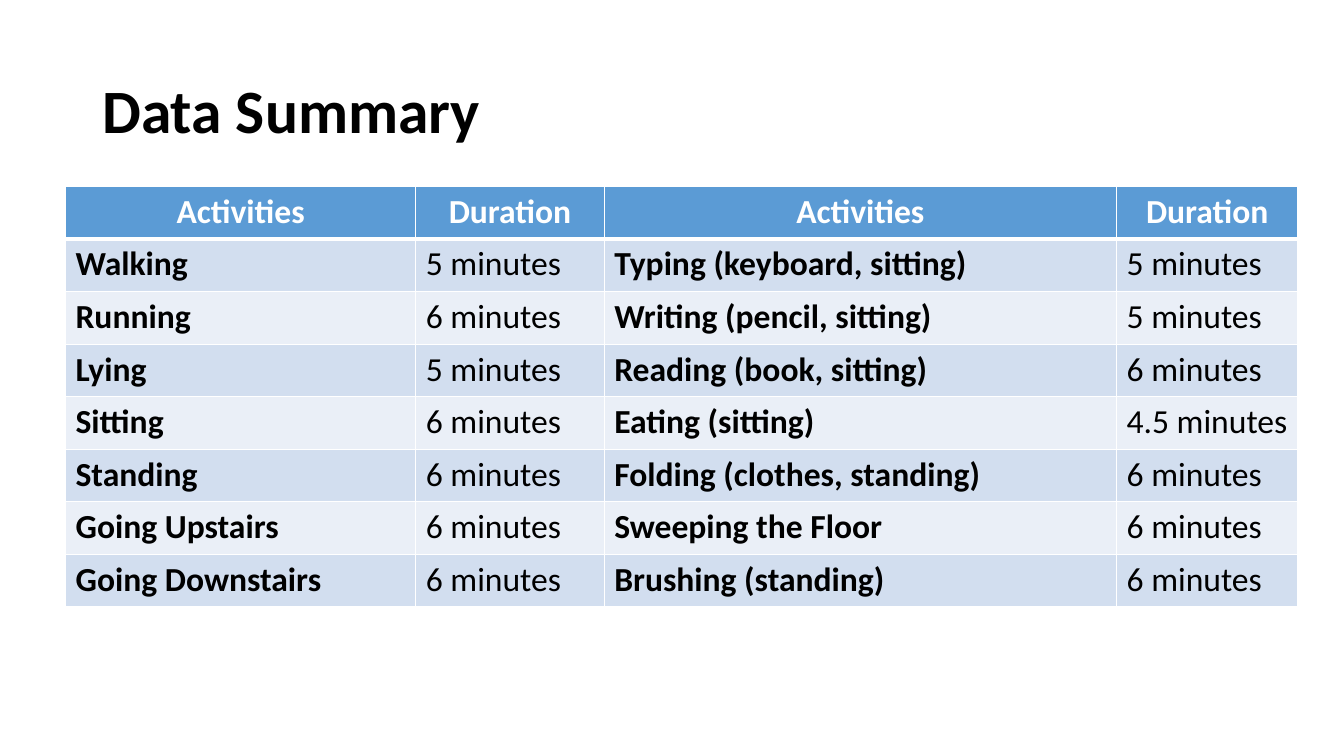
from dataclasses import dataclass

from lxml.etree import SubElement
from pptx import Presentation
from pptx.dml.color import RGBColor
from pptx.enum.text import MSO_ANCHOR, PP_ALIGN
from pptx.oxml.ns import qn
from pptx.util import Pt


@dataclass(frozen=True)
class Theme:
    font: str = "Calibri"
    title_size: int = 44
    table_size: int = 24
    ink: str = "000000"
    white: str = "FFFFFF"
    header: str = "5B9BD5"
    bands: tuple = ("D2DEEF", "EAEFF7")
    border: int = 1
    header_border: int = 3


class SlideBuilder:
    def __init__(self, slide, theme):
        self.slide = slide
        self.theme = theme

    def style(self, para, size, color, bold):
        font = para.font
        font.name, font.size, font.bold = self.theme.font, Pt(size), bold
        font.color.rgb = RGBColor.from_string(color)

    def title(self, text, left, top, width, height):
        box = self.slide.shapes.add_textbox(Pt(left), Pt(top), Pt(width), Pt(height))
        frame = box.text_frame
        frame.word_wrap = True
        frame.vertical_anchor = MSO_ANCHOR.MIDDLE
        para = frame.paragraphs[0]
        para.text = text
        para.line_spacing = 0.9
        self.style(para, self.theme.title_size, self.theme.ink, True)

    def borders(self, cell, top, bottom):
        properties = cell._tc.get_or_add_tcPr()
        sides = {"lnL": self.theme.border, "lnR": self.theme.border, "lnT": top, "lnB": bottom}
        for side, width in sides.items():
            line = SubElement(properties, qn(f"a:{side}"), w=str(Pt(width)))
            fill = SubElement(line, qn("a:solidFill"))
            SubElement(fill, qn("a:srgbClr"), val=self.theme.white)

    def cell(self, cell, text, row, column):
        theme = self.theme
        is_header = row == 0
        self.borders(
            cell,
            top=theme.header_border if row == 1 else theme.border,
            bottom=theme.header_border if is_header else theme.border,
        )
        cell.fill.solid()
        fill = theme.header if is_header else theme.bands[(row - 1) % 2]
        cell.fill.fore_color.rgb = RGBColor.from_string(fill)
        para = cell.text_frame.paragraphs[0]
        para.text = text
        para.alignment = PP_ALIGN.CENTER if is_header else PP_ALIGN.LEFT
        color = theme.white if is_header else theme.ink
        self.style(para, theme.table_size, color, is_header or column % 2 == 0)

    def table(self, rows, left, top, widths, row_height):
        frame = self.slide.shapes.add_table(
            len(rows), len(widths), Pt(left), Pt(top),
            Pt(sum(widths)), Pt(row_height * len(rows)),
        )
        table = frame.table
        for column, width in zip(table.columns, widths):
            column.width = Pt(width)
        for row, texts in enumerate(rows):
            table.rows[row].height = Pt(row_height)
            for column, text in enumerate(texts):
                self.cell(table.cell(row, column), text, row, column)


# Content: activity and minutes, for the left and right halves
HEADINGS = ("Activities", "Duration") * 2
DURATIONS = [
    ("Walking", 5, "Typing (keyboard, sitting)", 5),
    ("Running", 6, "Writing (pencil, sitting)", 5),
    ("Lying", 5, "Reading (book, sitting)", 6),
    ("Sitting", 6, "Eating (sitting)", 4.5),
    ("Standing", 6, "Folding (clothes, standing)", 6),
    ("Going Upstairs", 6, "Sweeping the Floor", 6),
    ("Going Downstairs", 6, "Brushing (standing)", 6),
]

# Deck
deck = Presentation()
deck.slide_width, deck.slide_height = Pt(960), Pt(540)
page = SlideBuilder(deck.slides.add_slide(deck.slide_layouts[6]), Theme())

# Title
page.title("Data Summary", 66, 28.75, 828, 104.4)

# Activity table
activity_rows = [
    (first, f"{first_minutes} minutes", second, f"{second_minutes} minutes")
    for first, first_minutes, second, second_minutes in DURATIONS
]
page.table([HEADINGS, *activity_rows], 46.8, 133.2, (250.2, 134.6, 366, 129.6), 37.55)

deck.save("out.pptx")
